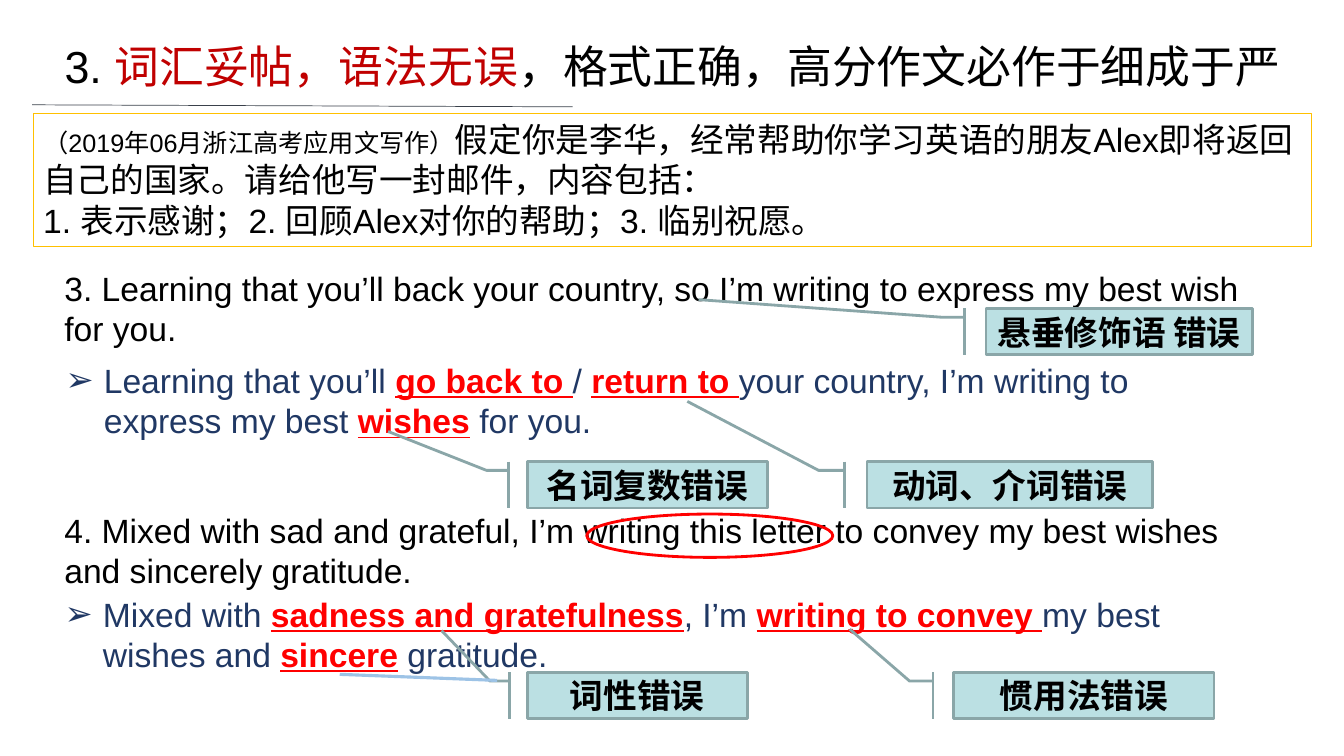
"""Build a slide correcting errors in sample sentences of a letter-writing task."""
from lxml.etree import SubElement
from pptx import Presentation
from pptx.dml.color import RGBColor
from pptx.enum.shapes import MSO_CONNECTOR, MSO_SHAPE
from pptx.enum.text import MSO_ANCHOR, MSO_AUTO_SIZE, PP_ALIGN
from pptx.oxml.ns import qn
from pptx.util import Pt

PX = 9144
COLORS = {
    "black": "000000", "topic": "C00000", "answer": "203864", "fix": "FF0000",
    "rule": "3A414B", "task": "FFC000", "callout": "BBE0E3",
    "callout_edge": "8AA6A8", "link": "9DC3E6",
}


def rgb(name):
    return RGBColor.from_string(COLORS[name])


def write(shape, paragraphs, anchor=MSO_ANCHOR.TOP, align=PP_ALIGN.LEFT, bullet=False):
    frame = shape.text_frame
    frame.word_wrap = True
    frame.auto_size = MSO_AUTO_SIZE.NONE
    frame.vertical_anchor = anchor
    for index, runs in enumerate(paragraphs):
        paragraph = frame.add_paragraph() if index else frame.paragraphs[0]
        paragraph.alignment = align
        paragraph.space_before = Pt(0)
        if bullet:
            properties = paragraph._p.get_or_add_pPr()
            properties.set("marL", str(38 * PX))
            properties.set("indent", str(-38 * PX))
            SubElement(properties, qn("a:buFont"), typeface="Arial")
            SubElement(properties, qn("a:buChar"), char="➢")
        for text, size, color, bold, underline in runs:
            run = paragraph.add_run()
            run.text = text
            run.font.name = "Arial"
            run.font.size = Pt(size)
            run.font.bold = bold
            run.font.underline = underline
            run.font.color.rgb = rgb(color)


deck = Presentation()
deck.slide_width, deck.slide_height = 1333 * PX, 750 * PX
slide = deck.slides.add_slide(deck.slide_layouts[3])
shapes = slide.shapes
title, *answers = slide.placeholders

title.left, title.top, title.width, title.height = (v * PX for v in (54, 33, 1250, 64))
write(title, [[
    ("3. ", 32, "black", False, False),
    ("词汇妥帖，语法无误", 32, "topic", False, False),
    ("，格式正确，高分作文必作于细成于严", 32, "black", False, False),
]])

task = shapes.add_shape(MSO_SHAPE.RECTANGLE, *(v * PX for v in (33, 113, 1268, 132)))
task.shadow.inherit = False
task.fill.background()
task.line.color.rgb = rgb("task")
task.line.width = Pt(0.75)
write(task, [
    [("（2019年06月浙江高考应用文写作）", 18, "black", False, False),
     ("假定你是李华，经常帮助你学习英语的朋友Alex即将返回自己的国家。请给他写一封邮件，内容包括：",
      24, "black", False, False)],
    [("1. 表示感谢；2. 回顾Alex对你的帮助；3. 临别祝愿。", 24, "black", False, False)],
])
task.text_frame.margin_right = 6 * PX

for top, sentence in [
    (261, "3. Learning that you’ll back your country, so I’m writing to express my best wish for you."),
    (501, "4. Mixed with sad and grateful, I’m writing this letter to convey my best wishes "
          "and sincerely gratitude."),
]:
    faulty = shapes.add_textbox(*(v * PX for v in (54, top, 1199, 91)))
    write(faulty, [[(sentence, 24, "black", False, False)]])

corrections = [
    (55, 352, 1187, ["Learning that you’ll ", "go back to ", "/ ", "return to ",
                     "your country, I’m writing to express my best ", "wishes", " for you."]),
    (54, 584, 1174, ["Mixed with ", "sadness and gratefulness", ", I’m ", "writing to convey ",
                     "my best wishes and ", "sincere", " gratitude."]),
]
for answer, (left, top, width, parts) in zip(answers, corrections):
    answer.left, answer.top, answer.width, answer.height = (v * PX for v in (left, top, width, 91))
    runs = []
    for index, part in enumerate(parts):
        fixed = index % 2 == 1
        runs.append((part, 24, "fix" if fixed else "answer", fixed, fixed))
    write(answer, [runs], bullet=True)

for left, top, width, rise, reach, error in [
    (523, 458, 238, -0.65, -0.58, "名词复数错误"),
    (860, 458, 283, -1.3, -0.63, "动词、介词错误"),
    (978, 306, 264, -0.19, -1.08, "悬垂修饰语 错误"),
    (523, 667, 218, -0.9, -0.39, "词性错误"),
    (946, 667, 258, -0.93, -0.4, "惯用法错误"),
]:
    callout = shapes.add_shape(MSO_SHAPE.LINE_CALLOUT_2_BORDER_AND_ACCENT_BAR,
                               *(v * PX for v in (left, top, width, 46)))
    for index, value in enumerate((0.19, -0.08, 0.19, -0.17, rise, reach)):
        callout.adjustments[index] = value
    callout.shadow.inherit = False
    callout.fill.solid()
    callout.fill.fore_color.rgb = rgb("callout")
    callout.line.color.rgb = rgb("callout_edge")
    callout.line.width = Pt(2)
    write(callout, [[(error, 24, "black", True, False)]], MSO_ANCHOR.MIDDLE, PP_ALIGN.CENTER)

misuse = shapes.add_shape(MSO_SHAPE.OVAL, *(v * PX for v in (582, 510, 244, 43)))
misuse.shadow.inherit = False
misuse.fill.background()
misuse.line.color.rgb = rgb("fix")
misuse.line.width = Pt(2)

for ends, color, weight in [
    ((32, 104, 568, 106), "rule", 0.5),
    ((337, 669, 493, 675), "link", 2.25),
]:
    stroke = shapes.add_connector(MSO_CONNECTOR.STRAIGHT, *(v * PX for v in ends))
    stroke.line.color.rgb = rgb(color)
    stroke.line.width = Pt(weight)
    SubElement(stroke._element.spPr, qn("a:effectLst"))

deck.save("out.pptx")
